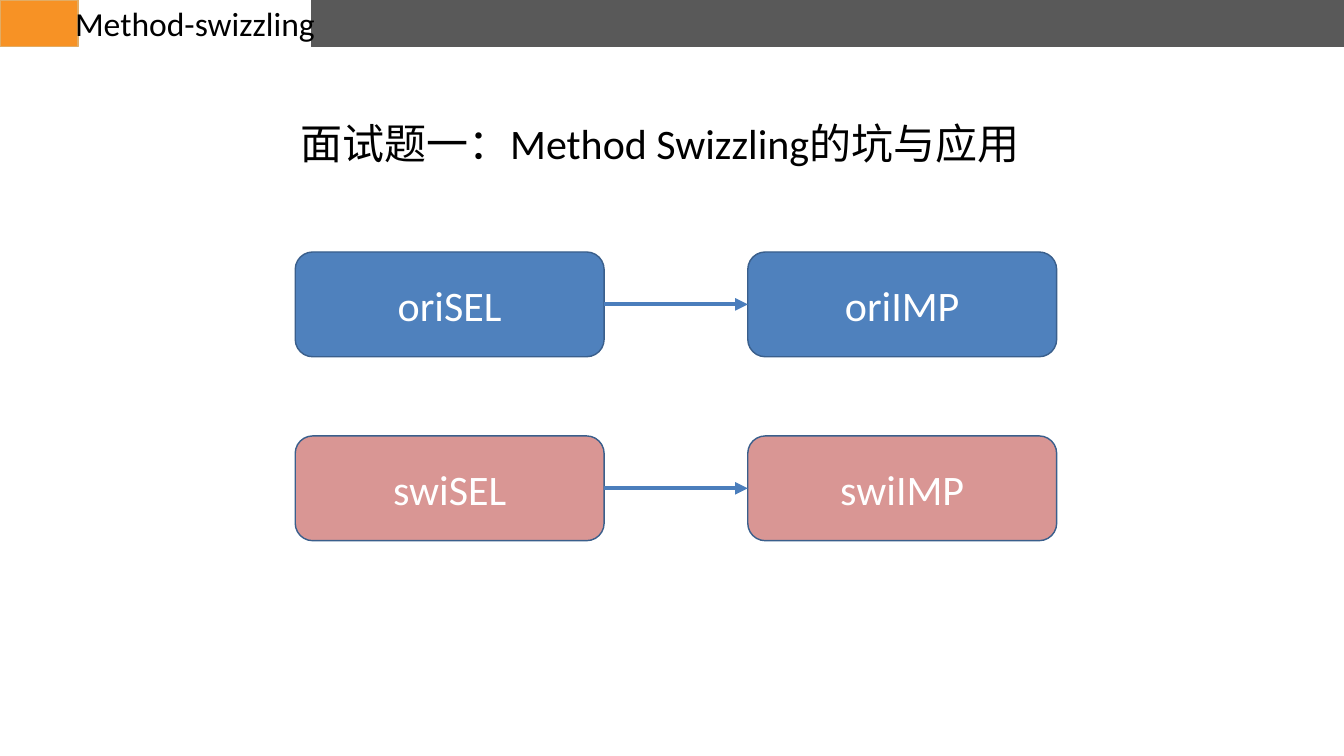
from dataclasses import dataclass

from lxml import etree
from pptx import Presentation
from pptx.dml.color import RGBColor
from pptx.enum.shapes import MSO_CONNECTOR, MSO_SHAPE
from pptx.enum.text import MSO_ANCHOR, PP_ALIGN
from pptx.oxml.ns import qn
from pptx.util import Cm, Pt

RECTANGLE = MSO_SHAPE.RECTANGLE
ROUNDED = MSO_SHAPE.ROUNDED_RECTANGLE
STRAIGHT = MSO_CONNECTOR.STRAIGHT
LEFT, CENTER = PP_ALIGN.LEFT, PP_ALIGN.CENTER
TOP, MIDDLE = MSO_ANCHOR.TOP, MSO_ANCHOR.MIDDLE
LEFT_SIDE, RIGHT_SIDE = 1, 3


@dataclass(frozen=True)
class Theme:
    font: str = "Calibri"
    header_size: int = 48
    body_size: int = 60
    text: str = "000000"
    box_text: str = "FFFFFF"
    header_bar: str = "595959"
    accent: str = "F79225"
    accent_line: str = "E2AC64"
    original: str = "4F81BD"
    swizzled: str = "D99694"
    box_line: str = "3A5F8C"
    arrow: str = "4B7EBC"
    outline_width: int = 2
    arrow_width: int = 6


THEME = Theme()

# Content
HEADER = "Method-swizzling"
TITLE = "面试题一：Method Swizzling的坑与应用"
MAPPINGS = [
    ("oriSEL", "oriIMP", THEME.original),
    ("swiSEL", "swiIMP", THEME.swizzled),
]

# Layout in centimetres
SLIDE_WIDTH, SLIDE_HEIGHT = 67.74, 38.1
HEADER_HEIGHT = 2.36
BAR_LEFT = 15.7
BOX_LEFT, BOX_TOP = 14.88, 12.7
BOX_WIDTH, BOX_HEIGHT = 15.57, 5.28
COLUMN_GAP, ROW_GAP = 7.24, 3.99


def write_text(shape, text, size, color, alignment, anchor):
    frame = shape.text_frame
    frame.word_wrap = True
    frame.vertical_anchor = anchor
    paragraph = frame.paragraphs[0]
    paragraph.text = text
    paragraph.alignment = alignment
    paragraph.font.name = THEME.font
    paragraph.font.size = Pt(size)
    paragraph.font.color.rgb = RGBColor.from_string(color)


def add_box(slide, kind, bounds, fill, line):
    shape = slide.shapes.add_shape(kind, *map(Cm, bounds))
    shape.shadow.inherit = False
    shape.fill.solid()
    shape.fill.fore_color.rgb = RGBColor.from_string(fill)
    shape.line.color.rgb = RGBColor.from_string(line)
    shape.line.width = Pt(THEME.outline_width)
    return shape


def add_label(slide, bounds, text, size, alignment, anchor):
    label = slide.shapes.add_textbox(*map(Cm, bounds))
    write_text(label, text, size, THEME.text, alignment, anchor)


def add_arrow(slide, source, target):
    arrow = slide.shapes.add_connector(STRAIGHT, 0, 0, 0, 0)
    arrow.begin_connect(source, RIGHT_SIDE)
    arrow.end_connect(target, LEFT_SIDE)
    arrow.line.color.rgb = RGBColor.from_string(THEME.arrow)
    arrow.line.width = Pt(THEME.arrow_width)
    etree.SubElement(arrow.line._get_or_add_ln(), qn("a:tailEnd"), type="triangle")
    etree.SubElement(arrow._element.spPr, qn("a:effectLst"))


def add_header(slide):
    bar = (BAR_LEFT, 0, SLIDE_WIDTH - BAR_LEFT, HEADER_HEIGHT)
    add_box(slide, RECTANGLE, bar, THEME.header_bar, THEME.header_bar)
    accent = (0, 0, 3.94, HEADER_HEIGHT)
    add_box(slide, RECTANGLE, accent, THEME.accent, THEME.accent_line)
    add_label(slide, (3.43, 0, 12.8, 2.31), HEADER, THEME.header_size, CENTER, MIDDLE)


def add_mappings(slide):
    """Draw one selector-to-implementation row per mapping."""
    for row, (selector, implementation, fill) in enumerate(MAPPINGS):
        top = BOX_TOP + row * (BOX_HEIGHT + ROW_GAP)
        boxes = []
        for column, name in enumerate((selector, implementation)):
            left = BOX_LEFT + column * (BOX_WIDTH + COLUMN_GAP)
            bounds = (left, top, BOX_WIDTH, BOX_HEIGHT)
            box = add_box(slide, ROUNDED, bounds, fill, THEME.box_line)
            write_text(box, name, THEME.body_size, THEME.box_text, CENTER, MIDDLE)
            boxes.append(box)
        add_arrow(slide, *boxes)


def main():
    presentation = Presentation()
    presentation.slide_width = Cm(SLIDE_WIDTH)
    presentation.slide_height = Cm(SLIDE_HEIGHT)
    slide = presentation.slides.add_slide(presentation.slide_layouts[6])
    add_header(slide)
    add_mappings(slide)
    add_label(slide, (BOX_LEFT, 5.82, 42.7, 2.82), TITLE, THEME.body_size, LEFT, TOP)
    presentation.save("out.pptx")


if __name__ == "__main__":
    main()
